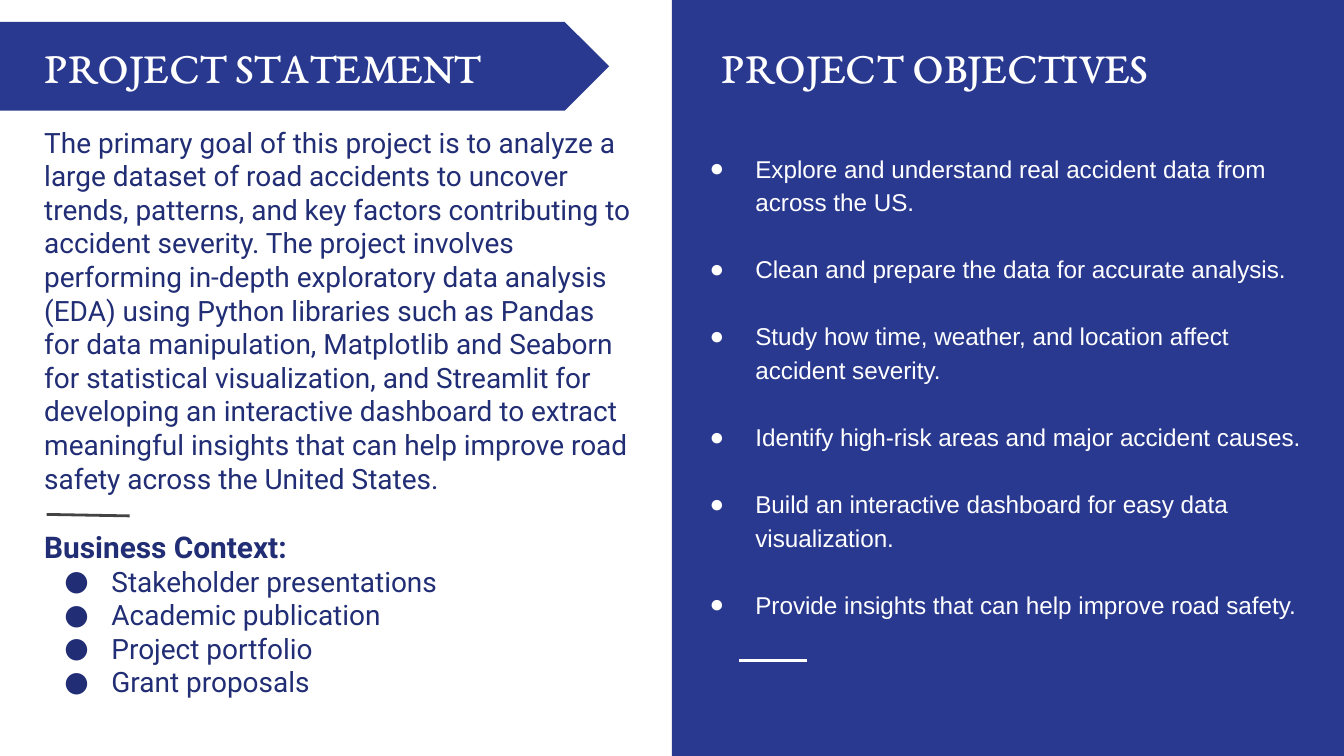
from lxml import etree
from pptx import Presentation
from pptx import util as u
from pptx.dml.color import RGBColor
from pptx.enum import shapes, text
from pptx.oxml import ns

BLUE = RGBColor(0x2A, 0x39, 0x90)
NAVY = RGBColor(0x21, 0x2D, 0x74)
GREY = RGBColor(0x43, 0x43, 0x43)
WHITE = RGBColor(0xFF, 0xFF, 0xFF)

STATEMENT = (
    "The primary goal of this project is to analyze a large dataset of road "
    "accidents to uncover trends, patterns, and key factors contributing to "
    "accident severity. The project involves performing in-depth exploratory "
    "data analysis (EDA) using Python libraries such as Pandas for data "
    "manipulation, Matplotlib and Seaborn for statistical visualization, and "
    "Streamlit for developing an interactive dashboard to extract meaningful "
    "insights that can help improve road safety across the United States."
)
CONTEXTS = [
    "Stakeholder presentations",
    "Academic publication",
    "Project portfolio",
    "Grant proposals",
]
OBJECTIVES = [
    "Explore and understand real accident data from across the US.",
    "Clean and prepare the data for accurate analysis.",
    "Study how time, weather, and location affect accident severity.",
    "Identify high-risk areas and major accident causes.",
    "Build an interactive dashboard for easy data visualization.",
    "Provide insights that can help improve road safety.",
]


class SlideBuilder:
    heading_font = "EB Garamond"
    heading_size = 24
    inset = u.Pt(7.2)
    bullet_indent = 36

    def __init__(self, slide):
        self.slide = slide

    def block(self, kind, left, top, width, height):
        shape = self.slide.shapes.add_shape(
            kind, u.Pt(left), u.Pt(top), u.Pt(width), u.Pt(height))
        shape.shadow.inherit = False
        shape.fill.solid()
        shape.fill.fore_color.rgb = BLUE
        shape.line.fill.background()

    def rule(self, start, end, color):
        line = self.slide.shapes.add_connector(
            shapes.MSO_CONNECTOR.STRAIGHT, *(u.Pt(v) for v in start + end))
        line.line.color.rgb = color
        line.line.width = u.Pt(1.5)
        etree.SubElement(line.element.spPr, ns.qn("a:effectLst"))

    def frame(self, shape, anchor):
        frame = shape.text_frame
        frame.word_wrap = True
        frame.auto_size = text.MSO_AUTO_SIZE.NONE
        frame.vertical_anchor = anchor
        frame.margin_left = frame.margin_right = self.inset
        frame.margin_top = frame.margin_bottom = self.inset
        return frame

    def text_box(self, left, top, width, height, anchor=text.MSO_ANCHOR.TOP):
        shape = self.slide.shapes.add_textbox(
            u.Pt(left), u.Pt(top), u.Pt(width), u.Pt(height))
        return self.frame(shape, anchor)

    def title(self, words, left, top, width, height):
        shape = self.slide.shapes.title
        shape.left, shape.top = u.Pt(left), u.Pt(top)
        shape.width, shape.height = u.Pt(width), u.Pt(height)
        # Bring the title in front of the banner
        shape.element.getparent().append(shape.element)
        self.heading(self.frame(shape, text.MSO_ANCHOR.BOTTOM), words)

    def heading(self, frame, words):
        self.paragraph(frame, words, self.heading_font, self.heading_size, WHITE)

    def paragraph(self, frame, words, font, size, color, bold=False,
                  before=0, spacing=1.0, hanging=None):
        paragraph = frame.paragraphs[0]
        if paragraph.text:
            paragraph = frame.add_paragraph()
        paragraph.text = words
        paragraph.alignment = text.PP_ALIGN.LEFT
        paragraph.line_spacing = spacing
        paragraph.space_before = u.Pt(before)
        if hanging:
            self.bullet(paragraph, color, font, hanging)
        paragraph.font.name = font
        paragraph.font.size = u.Pt(size)
        paragraph.font.bold = bold
        paragraph.font.color.rgb = color

    def bullet(self, paragraph, color, font, hanging):
        properties = paragraph._p.get_or_add_pPr()
        properties.set("marL", str(u.Pt(self.bullet_indent)))
        properties.set("indent", str(-u.Pt(hanging)))
        bullet_color = etree.SubElement(properties, ns.qn("a:buClr"))
        etree.SubElement(bullet_color, ns.qn("a:srgbClr"), val=str(color))
        etree.SubElement(properties, ns.qn("a:buFont"), typeface=font)
        etree.SubElement(properties, ns.qn("a:buChar"), char="●")


def main():
    presentation = Presentation()
    presentation.slide_width = u.Pt(720)
    presentation.slide_height = u.Pt(405)
    # Layout 5 is title only
    slide = presentation.slides.add_slide(presentation.slide_layouts[5])
    builder = SlideBuilder(slide)

    # Right panel and left banner
    builder.block(shapes.MSO_SHAPE.RECTANGLE, 360, 0, 360, 405)
    builder.rule((396, 354), (432.5, 354), WHITE)
    builder.block(shapes.MSO_SHAPE.PENTAGON, -13, 11.7, 339.3, 47.6)

    # Project statement and business context
    builder.title("PROJECT STATEMENT", 16.6, 13.7, 318, 43.2)
    statement = builder.text_box(16.6, 59.8, 329.8, 345)
    builder.paragraph(statement, STATEMENT, "Roboto", 15, NAVY)
    builder.paragraph(statement, "Business Context:", "Roboto", 16, NAVY,
                      bold=True, before=18)
    for context in CONTEXTS:
        builder.paragraph(statement, context, "Roboto", 15, NAVY, hanging=25.2)

    # Project objectives
    objectives = builder.text_box(361.6, 56.2, 344.2, 299.5,
                                  text.MSO_ANCHOR.MIDDLE)
    for index, objective in enumerate(OBJECTIVES):
        builder.paragraph(objectives, objective, "Arial", 13, WHITE,
                          before=18 if index else 0, spacing=1.15,
                          hanging=24.5)
    builder.heading(builder.text_box(379.4, 13.7, 259.2, 52.6),
                    "PROJECT OBJECTIVES")

    # Divider above the business context
    builder.rule((25, 275.6), (69.4, 276.4), GREY)

    presentation.save("out.pptx")


if __name__ == "__main__":
    main()
